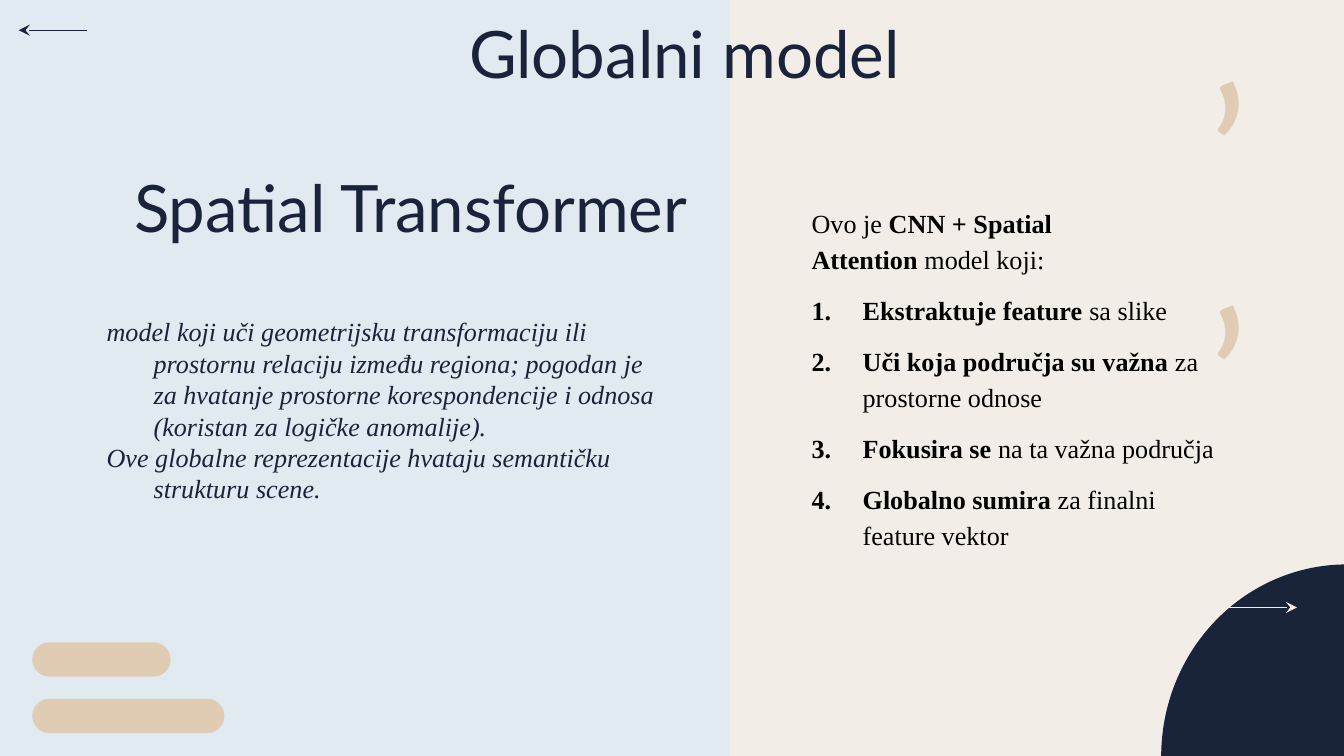
from lxml.etree import SubElement
from pptx import Presentation
from pptx.dml.color import RGBColor
from pptx.enum.shapes import MSO_CONNECTOR, MSO_SHAPE
from pptx.enum.text import MSO_ANCHOR, MSO_AUTO_SIZE, PP_ALIGN
from pptx.oxml.ns import qn
from pptx.util import Emu, Inches, Pt

COLORS = {"cream": "F2EEE7", "ice": "E1EAF0", "navy": "19233A", "sand": "DFCCB3", "black": "000000"}
HEADING_FONT, BODY_FONT = "Lato", "Times New Roman"
COLUMNS, ROWS = 100, 56.25
HARD_SPACE = chr(160)


def color(name):
    return RGBColor.from_string(COLORS[name])


class SlideBuilder:
    """Draws on one slide; boxes are (column, row, columns, rows)."""

    def __init__(self, presentation):
        self.column = presentation.slide_width / COLUMNS
        self.row = presentation.slide_height / ROWS
        self.slide = presentation.slides.add_slide(presentation.slide_layouts[5])
        self.shapes = self.slide.shapes
        self.slide.background.fill.solid()
        self.slide.background.fill.fore_color.rgb = color("cream")

    def place(self, left, top, width, height):
        return [Emu(round(value)) for value in (
            left * self.column, top * self.row, width * self.column, height * self.row)]

    def block(self, kind, box, fill):
        shape = self.shapes.add_shape(kind, *self.place(*box))
        shape.shadow.inherit = False
        shape.fill.solid()
        shape.fill.fore_color.rgb = color(fill)
        shape.line.fill.background()
        return shape

    def pill(self, box):
        self.block(MSO_SHAPE.ROUNDED_RECTANGLE, box, "sand").adjustments[0] = 0.5

    def arrow(self, start, end, row, line_color):
        left, top, right, bottom = self.place(start, row, end, row)
        connector = self.shapes.add_connector(MSO_CONNECTOR.STRAIGHT, left, top, right, bottom)
        connector.line.color.rgb = color(line_color)
        connector.line.width = Pt(0.75)
        SubElement(connector.element.spPr.find(qn("a:ln")), qn("a:tailEnd"), type="stealth")
        SubElement(connector.element.spPr, qn("a:effectLst"))

    def format_frame(self, frame, anchor, vertical_inset=0.1):
        frame.word_wrap = True
        frame.auto_size = MSO_AUTO_SIZE.NONE
        frame.vertical_anchor = anchor
        frame.margin_left = frame.margin_right = Inches(0.1)
        frame.margin_top = frame.margin_bottom = Inches(vertical_inset)

    def format_run(self, run, size, font, text_color, bold=False, italic=False):
        run.font.size = Pt(size)
        run.font.name = font
        run.font.color.rgb = color(text_color)
        run.font.bold, run.font.italic = bold, italic

    def text(self, box, text, size, font, text_color, italic=False, hanging=None):
        frame = self.shapes.add_textbox(*self.place(*box)).text_frame
        self.format_frame(frame, MSO_ANCHOR.TOP)
        frame.text = text
        for paragraph in frame.paragraphs:
            if hanging:
                self.indent(paragraph, *hanging)
            for run in paragraph.runs:
                self.format_run(run, size, font, text_color, italic=italic)

    def heading(self, box, text, is_title=False):
        if is_title:
            shape = self.shapes.title
            shape.left, shape.top, shape.width, shape.height = self.place(*box)
            shape.element.getparent().append(shape.element)  # bring to front
        else:
            shape = self.shapes.add_textbox(*self.place(*box))
        frame = shape.text_frame
        self.format_frame(frame, MSO_ANCHOR.BOTTOM)
        frame.text = text
        paragraph = frame.paragraphs[0]
        paragraph.alignment = PP_ALIGN.LEFT
        paragraph.line_spacing = 0.8
        self.format_run(paragraph.runs[0], 35, HEADING_FONT, "navy")

    def indent(self, paragraph, margin, first_line):
        properties = paragraph._p.get_or_add_pPr()
        properties.set("marL", str(Inches(margin)))
        properties.set("indent", str(Inches(first_line)))
        return properties

    def number(self, paragraph):
        properties = self.indent(paragraph, 0.38, -0.38)
        bullet_color = SubElement(properties, qn("a:buClr"))
        SubElement(bullet_color, qn("a:srgbClr"), val=COLORS["black"])
        SubElement(properties, qn("a:buAutoNum"), type="arabicPeriod")
        tabs = SubElement(properties, qn("a:tabLst"))
        SubElement(tabs, qn("a:tab"), pos=str(Inches(0.5)), algn="l")

    def numbered_list(self, box, paragraphs):
        """The first paragraph is the lead-in; each is a list of (text, bold) pieces."""
        frame = self.shapes.add_textbox(*self.place(*box)).text_frame
        self.format_frame(frame, MSO_ANCHOR.TOP, vertical_inset=0.05)
        frame.auto_size = MSO_AUTO_SIZE.SHAPE_TO_FIT_TEXT
        for index, pieces in enumerate(paragraphs):
            paragraph = frame.add_paragraph() if index else frame.paragraphs[0]
            if index:
                self.number(paragraph)
            paragraph.line_spacing = 1.15
            paragraph.space_after = Pt(8)
            for text, bold in pieces:
                run = paragraph.add_run()
                run.text = text
                self.format_run(run, 14, BODY_FONT, "black", bold=bold)


def main():
    presentation = Presentation()
    presentation.slide_width, presentation.slide_height = Inches(10), Inches(5.625)
    builder = SlideBuilder(presentation)

    builder.block(MSO_SHAPE.RECTANGLE, (-0.25, 0, 54.5, ROWS), "ice")
    builder.block(MSO_SHAPE.OVAL, (86.4, 42, 27.6, 28.6), "navy")
    builder.pill((2.4, 52, 14.3, 2.55))
    builder.text((88.9, 1.8, 7.8, 8.3), "’’", 100, HEADING_FONT, "sand")
    builder.pill((2.4, 47.8, 10.3, 2.55))
    builder.arrow(91.3, 96.5, 45.2, "cream")
    builder.arrow(6.5, 1.4, 2.25, "navy")

    builder.heading((9, 6.5, 44.6, 12.75), "Spatial Transformer")
    builder.text(
        (5.45, 22.5, 44.6, 24.3),
        "model koji uči geometrijsku transformaciju ili prostornu relaciju između regiona; "
        "pogodan je za hvatanje prostorne korespondencije i odnosa "
        "(koristan za logičke anomalije).\n"
        "Ove globalne reprezentacije hvataju semantičku strukturu scene.",
        14, BODY_FONT, "navy", italic=True, hanging=(0.5, -0.35))
    builder.heading((33.9, 0, 42, 7.8), "Globalni model", is_title=True)
    builder.numbered_list((59.4, 14.6, 32.9, 29.8), [
        [(f"Ovo je{HARD_SPACE}", False), ("CNN + Spatial Attention", True),
         (f"{HARD_SPACE}model koji:", False)],
        [(f"Ekstraktuje feature{HARD_SPACE}", True), ("sa slike", False)],
        [("Uči koja područja su važna", True), (f"{HARD_SPACE}za prostorne odnose", False)],
        [(f"Fokusira se{HARD_SPACE}", True), ("na ta važna područja", False)],
        [("Globalno sumira", True), (f"{HARD_SPACE}za finalni feature vektor", False)],
    ])
    presentation.save("out.pptx")


if __name__ == "__main__":
    main()
